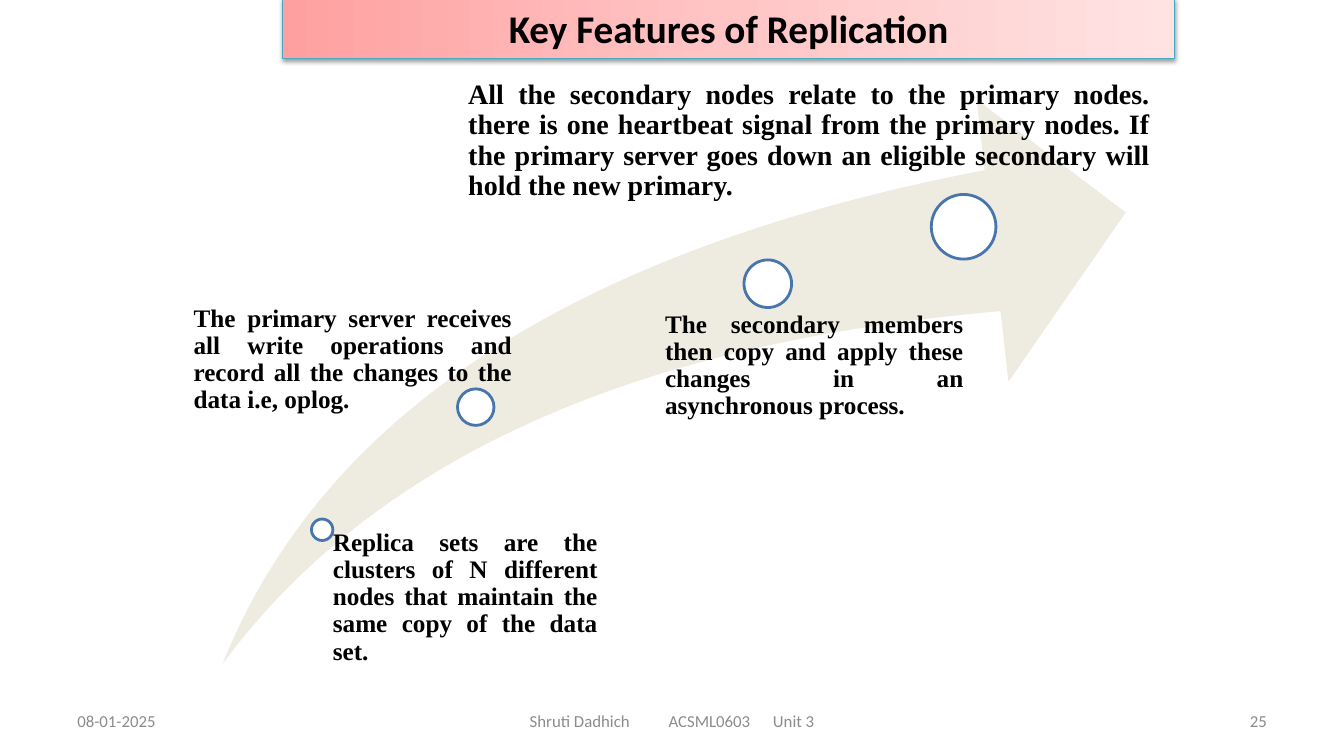
from copy import deepcopy
from pptx import Presentation
from pptx.dml.color import RGBColor
from pptx.enum.shapes import MSO_SHAPE
from pptx.enum.text import MSO_ANCHOR, MSO_AUTO_SIZE, PP_ALIGN
from pptx.oxml import parse_xml
from pptx.oxml.ns import nsdecls, qn
from pptx.util import Cm, Pt

COLORS = {
    "text": "000000", "foot": "8C8C8C", "swoosh": "EEECE1", "dot": "FFFFFF",
    "ring": "4875AC", "edge": "46AAC5",
    "start": "FFA0A0", "mid": "FFC5C5", "end": "FFE3E3",
}
HEAD = {"name": "Calibri", "size": Pt(28), "bold": True}
BODY = {"name": "Times New Roman", "size": Pt(18), "bold": True}
LARGE = {**BODY, "size": Pt(20)}
FOOT = {"name": "Calibri", "size": Pt(12), "bold": False}


def rgb(key):
    return RGBColor.from_string(COLORS[key])


def write(shape, text, style, color, align, anchor=MSO_ANCHOR.MIDDLE):
    frame = shape.text_frame
    frame.word_wrap = True
    frame.auto_size = MSO_AUTO_SIZE.NONE
    frame.vertical_anchor = anchor
    para = frame.paragraphs[0]
    para.alignment = align
    run = para.add_run()
    run.text = text
    for name, value in style.items():
        setattr(run.font, name, value)
    run.font.color.rgb = rgb(color)
    return para


deck = Presentation()
deck.slide_width, deck.slide_height = Cm(33.87), Cm(19.05)
slide = deck.slides.add_slide(deck.slide_layouts[5])
shapes = slide.shapes

# Title bar with gradient and soft shadow
title = shapes.title
title.left, title.top, title.width, title.height = Cm(7.11), Cm(-0.05), Cm(22.5), Cm(1.52)
write(title, "Key Features of Replication", HEAD, "text", PP_ALIGN.CENTER)
title.fill.gradient()
title.fill.gradient_angle = 0
props = title._element.spPr
stops = props.find(".//" + qn("a:gsLst"))
stops.insert(1, deepcopy(stops[0]))
for stop, place, key in zip(title.fill.gradient_stops, (0, 0.5, 1), ("start", "mid", "end")):
    stop.position = place
    stop.color.rgb = rgb(key)
title.line.color.rgb = rgb("edge")
title.line.width = Pt(0.75)
props.append(parse_xml(
    f'<a:effectLst {nsdecls("a")}>'
    '<a:outerShdw blurRad="39400" dist="20300" dir="5400000" rotWithShape="0">'
    '<a:srgbClr val="000000"><a:alpha val="38000"/></a:srgbClr>'
    '</a:outerShdw></a:effectLst>'))

# Rising arrow
arrow = shapes.add_shape(MSO_SHAPE.SWOOSH_ARROW, Cm(5.61), Cm(2.51), Cm(22.76), Cm(14.22))
arrow.adjustments[0] = arrow.adjustments[1] = 0.25
arrow.shadow.inherit = False
arrow.fill.solid()
arrow.fill.fore_color.rgb = rgb("swoosh")
arrow.line.fill.background()

# Steps: dot (left, top, size), label box, left inset, style, text
steps = [
    ((7.85, 13.08, 0.54), (8.1, 13.34, 6.96, 3.38), 0.29, BODY,
     "Replica sets are the clusters of N different nodes that maintain "
     "the same copy of the data set."),
    ((11.53, 9.8, 0.92), (4.39, 7.7, 8.51, 3.89), 0.49, BODY,
     "The primary server receives all write operations and record all "
     "the changes to the data i.e, oplog."),
    ((18.75, 6.55, 1.2), (16.13, 7.85, 8.15, 2.97), 0.63, BODY,
     "The secondary members then copy and apply these changes in an "
     "asynchronous process."),
    ((23.47, 4.9, 1.63), (10.92, 2.03, 18.06, 2.97), 0.88, LARGE,
     "All the secondary nodes relate to the primary nodes. there is one "
     "heartbeat signal from the primary nodes. If the primary server goes "
     "down an eligible secondary will hold the new primary."),
]
for (left, top, size), box, inset, style, text in steps:
    dot = shapes.add_shape(MSO_SHAPE.OVAL, Cm(left), Cm(top), Cm(size), Cm(size))
    dot.shadow.inherit = False
    dot.fill.solid()
    dot.fill.fore_color.rgb = rgb("dot")
    dot.line.color.rgb = rgb("ring")
    dot.line.width = Pt(2)

    label = shapes.add_textbox(*map(Cm, box))
    frame = label.text_frame
    frame.margin_left = Cm(inset)
    frame.margin_top = frame.margin_right = frame.margin_bottom = 0
    para = write(label, text, style, "text", PP_ALIGN.JUSTIFY, MSO_ANCHOR.TOP)
    para.line_spacing = 0.9

# Footer: left, width, alignment, tab stops, text
footer = [
    (1.7, 7.9, PP_ALIGN.LEFT, (), "08-01-2025"),
    (13.1, 9, PP_ALIGN.LEFT, (3.5, 6.13), "Shruti Dadhich\tACSML0603\tUnit 3"),
    (24.28, 7.9, PP_ALIGN.RIGHT, (), "25"),
]
for left, width, align, tabs, text in footer:
    box = shapes.add_textbox(Cm(left), Cm(17.65), Cm(width), Cm(1.02))
    para = write(box, text, FOOT, "foot", align)
    if tabs:
        marks = "".join(f'<a:tab pos="{Cm(tab)}" algn="l"/>' for tab in tabs)
        para._p.get_or_add_pPr().append(
            parse_xml(f'<a:tabLst {nsdecls("a")}>{marks}</a:tabLst>'))

deck.save("out.pptx")
